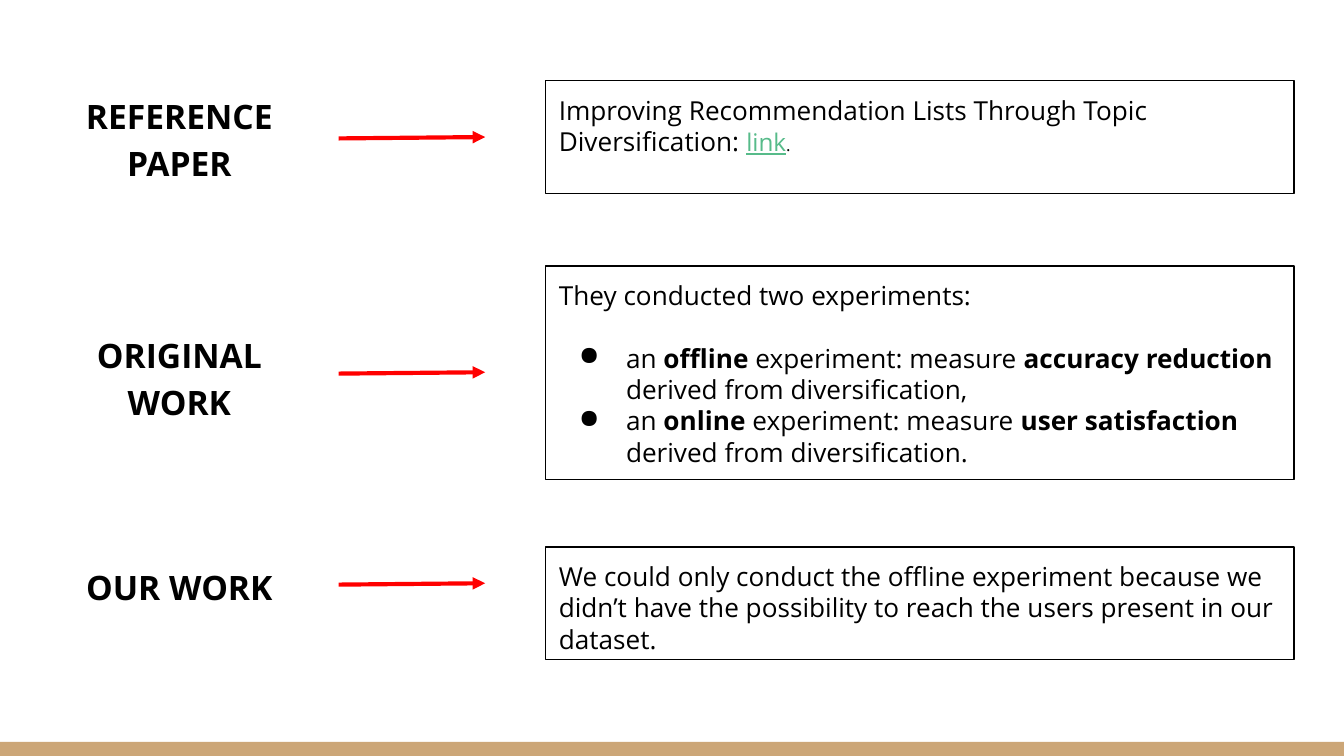
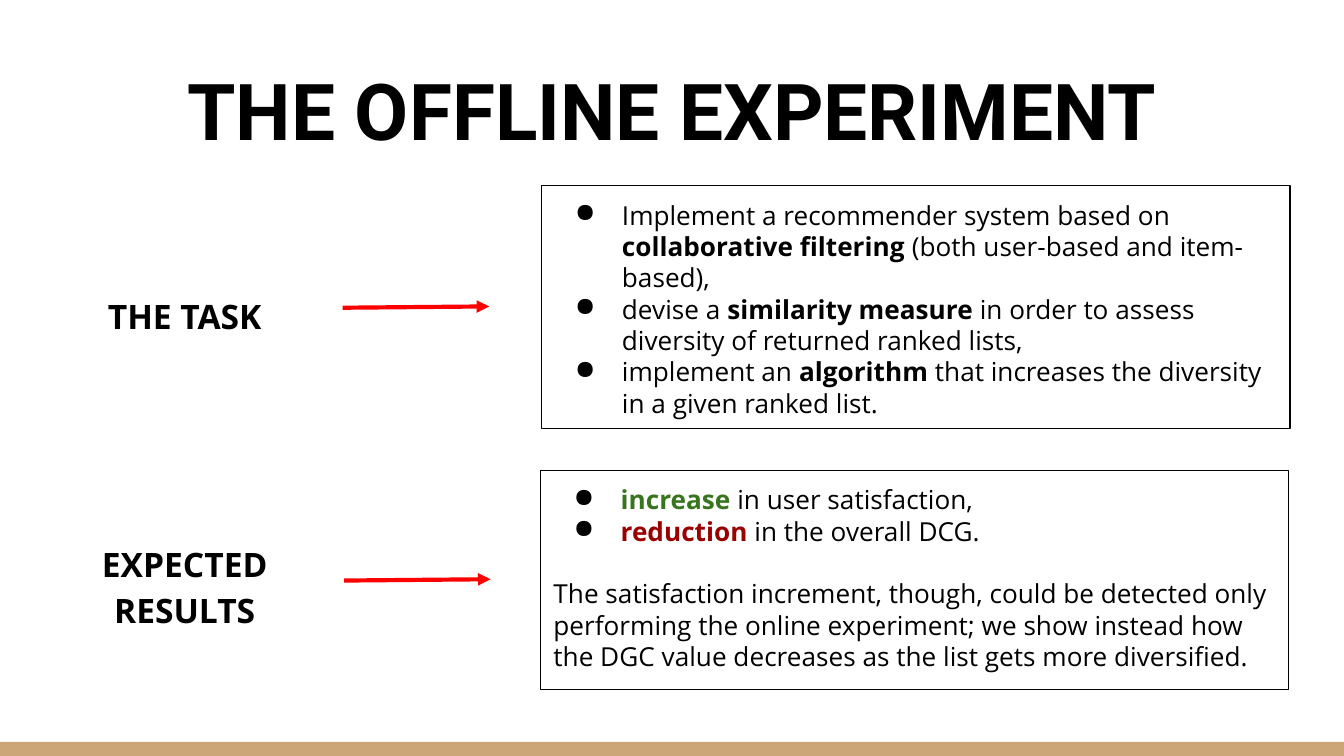
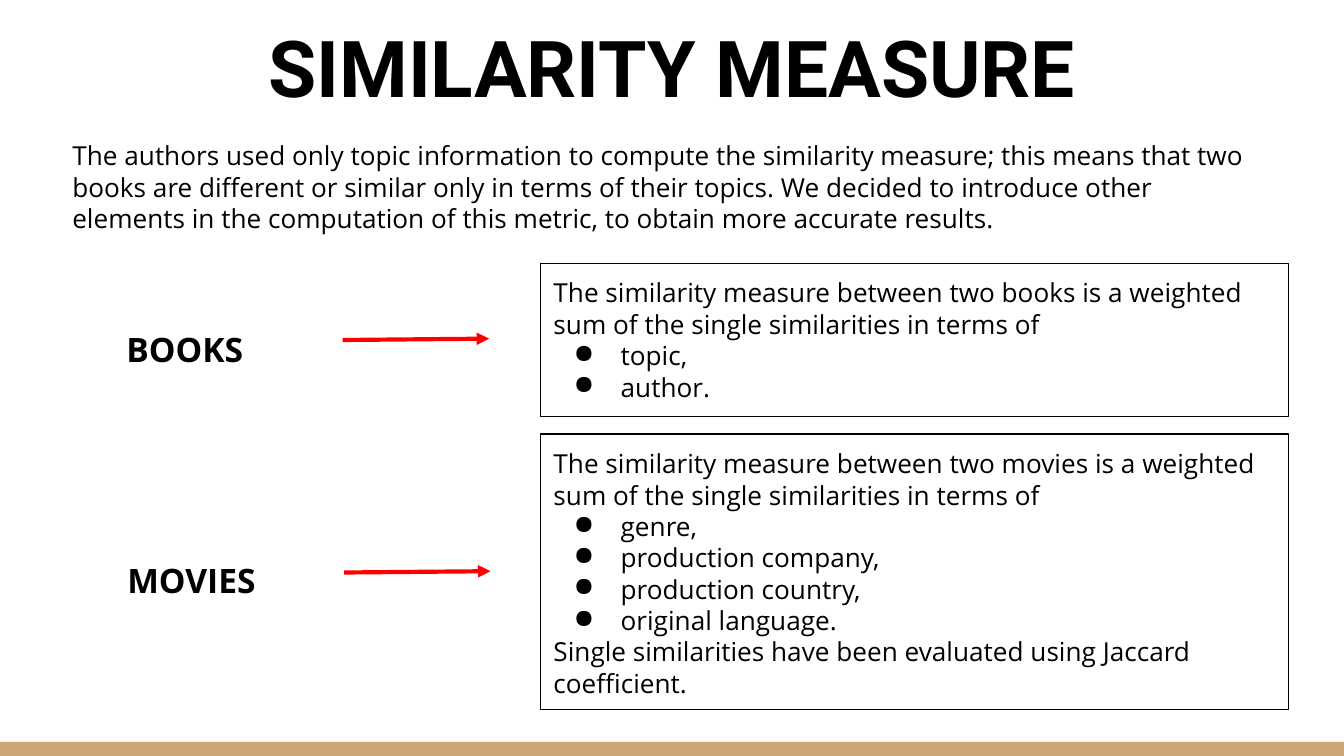
import pptx
import pptx.dml.color
import pptx.enum.shapes
import pptx.enum.text
import pptx.oxml.ns
import pptx.util
from lxml import etree

RGB = pptx.dml.color.RGBColor
BLACK = RGB(0x00, 0x00, 0x00)
TAN = RGB(0xCC, 0xA6, 0x77)
RED = RGB(0xFF, 0x00, 0x00)
LINK_GREEN = RGB(0x57, 0xBB, 0x8A)
GOOD_GREEN = RGB(0x38, 0x76, 0x1D)
BAD_RED = RGB(0x99, 0x00, 0x00)

Pt = pptx.util.Pt
SHAPES = pptx.enum.shapes.MSO_SHAPE
ANCHOR = pptx.enum.text.MSO_ANCHOR
CENTER = pptx.enum.text.PP_ALIGN.CENTER
qn = pptx.oxml.ns.qn

prs = pptx.Presentation()
prs.slide_width = pptx.util.Inches(10)
prs.slide_height = pptx.util.Inches(5.625)

# Grid of 100 columns by 56.25 rows
COL = prs.slide_width / 100
ROW = prs.slide_height / 56.25
LABEL_W, BOX_W, ARROW_W, ARROW_RISE = 19.3, 55.7, 10.9, 0.1
BAND_TOP = 55.2

BODY = {"name": "Open Sans", "size": Pt(14), "bold": False, "color": BLACK}
LABEL = BODY | {"size": Pt(18), "bold": True}
TITLE = {"name": "Roboto", "size": Pt(42), "bold": True, "color": BLACK}
BOLD = {"bold": True}
PLAIN, BULLET = {}, {"bullet": True}
GAP = {"space_before": Pt(16.7)}
CENTERED = {"alignment": CENTER}
LABEL_PARA = {"alignment": CENTER, "line_spacing": 1.15}


def grid(left, top, width, height):
    return [int(v) for v in (left * COL, top * ROW, width * COL, height * ROW)]


def write(sp, paragraphs, font, anchor=ANCHOR.TOP):
    """Fill sp with paragraphs, each a format dict followed by its runs."""
    tf = sp.text_frame
    margins = dict.fromkeys(("margin_left", "margin_top", "margin_right", "margin_bottom"), int(COL))
    for name, value in (margins | {"word_wrap": True, "vertical_anchor": anchor}).items():
        setattr(tf, name, value)
    for i, (form, *runs) in enumerate(paragraphs):
        p = tf.add_paragraph() if i else tf.paragraphs[0]
        for name, value in ({"alignment": pptx.enum.text.PP_ALIGN.LEFT} | form).items():
            if name != "bullet":
                setattr(p, name, value)
        if form.get("bullet"):
            pPr = p._p.get_or_add_pPr()
            pPr.set("marL", str(int(5 * COL)))
            pPr.set("indent", str(int(-3.5 * COL)))
            colour = etree.SubElement(pPr, qn("a:buClr"))
            etree.SubElement(colour, qn("a:srgbClr"), val=str(BLACK))
            etree.SubElement(pPr, qn("a:buChar"), char="●")
        for run in runs:
            text, style = (run, {}) if isinstance(run, str) else run
            r = p.add_run()
            r.text = text
            for name, value in (font | style).items():
                if name == "color":
                    r.font.color.rgb = value
                else:
                    setattr(r.font, name, value)


# Row: label, its left, top and height, arrow start, box left, top and height, box text
slides = [
    {"rows": [
        ("REFERENCE PAPER", (3.7, 5.7, 9.1), (25.2, 10.3), (40.6, 6, 8.4), [
            (PLAIN, "Improving Recommendation Lists Through Topic Diversification: ",
             ("link", {"size": Pt(13), "color": LINK_GREEN, "underline": True}),
             (".", {"size": Pt(9)}))]),
        ("ORIGINAL WORK", (3.7, 23.5, 8.4), (25.2, 27.8), (40.6, 19.8, 15.9), [
            (PLAIN, "They conducted two experiments:"),
            (BULLET | GAP, "an ", ("offline", BOLD), " experiment: measure ",
             ("accuracy reduction ", BOLD), "derived from diversification,"),
            (BULLET, "an ", ("online", BOLD), " experiment: measure ",
             ("user satisfaction ", BOLD), "derived from diversification.")]),
        ("OUR WORK", (3.7, 40.7, 5.3), (25.2, 43.5), (40.6, 40.7, 8.4), [
            (PLAIN, "We could only conduct the offline experiment because we didn’t have "
             "the possibility to reach the users present in our dataset.")]),
    ]},
    {"title": ("THE OFFLINE EXPERIMENT", 3.5, 9.1), "rows": [
        ("THE TASK", (4.1, 20.6, 4.6), (25.5, 22.9), (40.3, 13.8, 18.1), [
            (BULLET, "Implement a recommender system based on ",
             ("collaborative filtering", BOLD), " (both user-based and item-based),"),
            (BULLET, "devise a ", ("similarity measure", BOLD),
             " in order to assess diversity of returned ranked lists,"),
            (BULLET, "implement an ", ("algorithm ", BOLD),
             "that increases the diversity in a given ranked list.")]),
        ("EXPECTED RESULTS", (4.1, 39, 8.4), (25.6, 43.2), (40.2, 35, 16.3), [
            (BULLET, ("increase", BOLD | {"color": GOOD_GREEN}), " in user satisfaction,"),
            (BULLET, ("reduction", BOLD | {"color": BAD_RED}), " in the overall DCG."),
            (GAP, "The satisfaction increment, though, could be detected only performing the "
             "online experiment; we show instead how the DGC value decreases as the list "
             "gets more diversified.")]),
    ]},
    {"title": ("SIMILARITY MEASURE", 1.2, 8.2),
     "intro": "The authors used only topic information to compute the similarity measure; this "
              "means that two books are different or similar only in terms of their topics. We "
              "decided to introduce other elements in the computation of this metric, to obtain "
              "more accurate results.",
     "rows": [
        ("BOOKS", (4.1, 23, 4.6), (25.5, 25.3), (40.2, 19.6, 11.4), [
            (PLAIN, "The similarity measure between two books is a weighted sum of the single "
             "similarities in terms of"),
            *[(BULLET, item) for item in ("topic,", "author.")]]),
        ("MOVIES", (4.6, 40.2, 4.6), (25.6, 42.6), (40.2, 32.3, 20.5), [
            (PLAIN, "The similarity measure between two movies is a weighted sum of the single "
             "similarities in terms of"),
            *[(BULLET, item) for item in ("genre,", "production company,",
                                          "production country,", "original language.")],
            (PLAIN, "Single similarities have been evaluated using Jaccard coefficient.")]),
    ]},
]

for content in slides:
    s = prs.slides.add_slide(prs.slide_layouts[6])
    band = s.shapes.add_shape(SHAPES.RECTANGLE, *grid(0, BAND_TOP, 100, 56.25 - BAND_TOP))
    band.shadow.inherit = False
    band.fill.solid()
    band.fill.fore_color.rgb = TAN
    band.line.fill.background()

    if "title" in content:
        title, top, height = content["title"]
        sp = s.shapes.add_textbox(*grid(3.4, top, 93.2, height))
        write(sp, [(CENTERED, title)], TITLE, ANCHOR.BOTTOM)
    if "intro" in content:
        sp = s.shapes.add_textbox(*grid(4.4, 9.4, 91.3, 9.1))
        write(sp, [(PLAIN, content["intro"])], BODY)

    for label, (left, top, height), (x, y), (box_left, box_top, box_height), text in content["rows"]:
        sp = s.shapes.add_textbox(*grid(left, top, LABEL_W, height))
        write(sp, [(LABEL_PARA, label)], LABEL)

        box = s.shapes.add_shape(SHAPES.RECTANGLE, *grid(box_left, box_top, BOX_W, box_height))
        box.shadow.inherit = False
        box.fill.background()
        box.line.color.rgb = BLACK
        box.line.width = Pt(0.75)
        write(box, text, BODY)

        arrow = s.shapes.add_connector(pptx.enum.shapes.MSO_CONNECTOR.STRAIGHT,
                                       *grid(x, y, x + ARROW_W, y - ARROW_RISE))
        arrow.line.color.rgb = RED
        arrow.line.width = Pt(2.25)
        etree.SubElement(arrow.line._get_or_add_ln(), qn("a:tailEnd"), type="triangle")
        etree.SubElement(arrow._element.spPr, qn("a:effectLst"))

prs.save("out.pptx")
